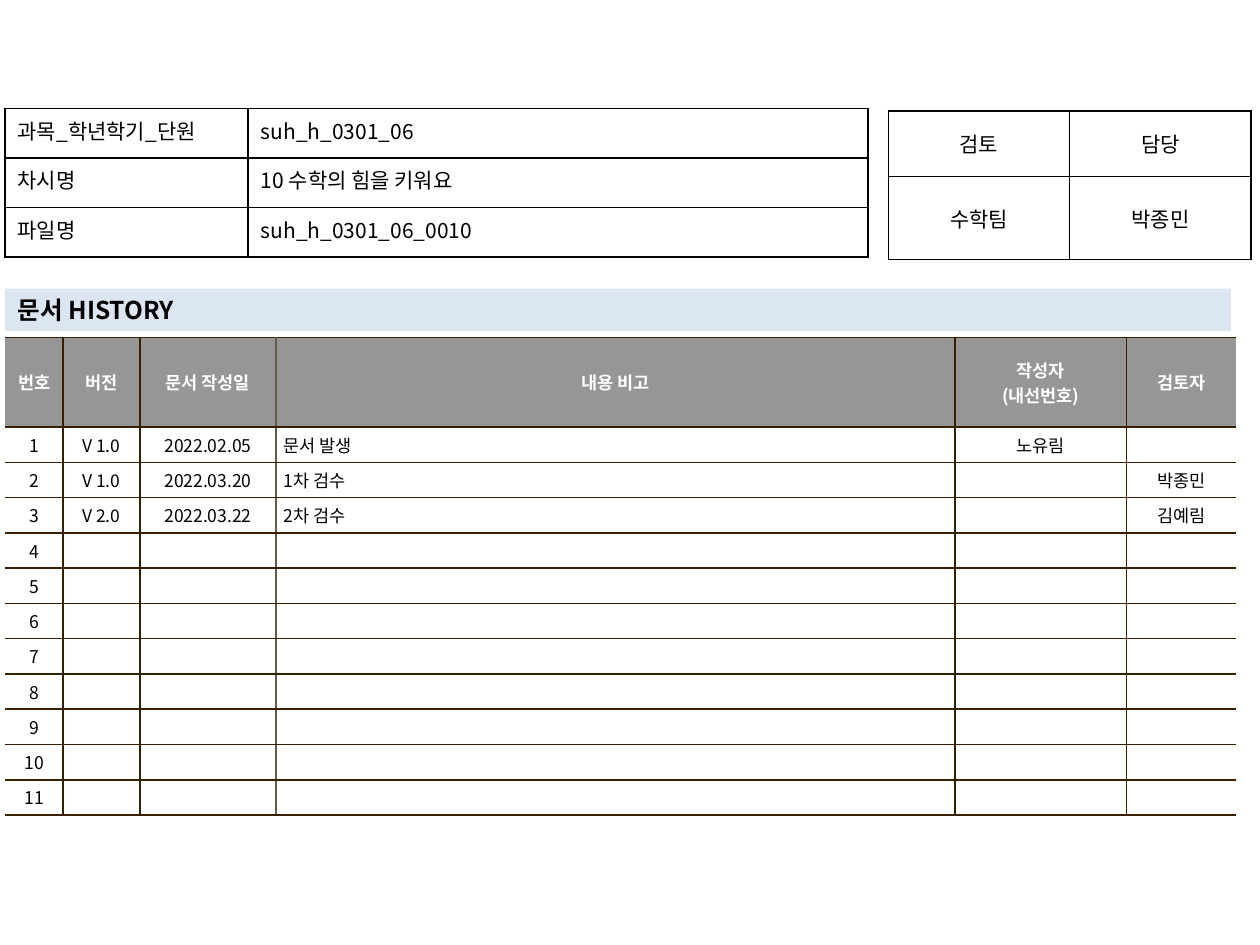
from dataclasses import dataclass
from typing import Any, Optional

from lxml import etree
from pptx import Presentation
from pptx.dml.color import RGBColor
from pptx.enum.text import MSO_ANCHOR, MSO_AUTO_SIZE, PP_ALIGN
from pptx.oxml.ns import qn
from pptx.util import Inches, Pt

TOP, MIDDLE = MSO_ANCHOR.TOP, MSO_ANCHOR.MIDDLE
LEFT, CENTER, JUSTIFY = PP_ALIGN.LEFT, PP_ALIGN.CENTER, PP_ALIGN.JUSTIFY
NO_AUTOFIT = MSO_AUTO_SIZE.NONE

BLACK = RGBColor(0x00, 0x00, 0x00)
WHITE = RGBColor(0xFF, 0xFF, 0xFF)
GRAY = RGBColor(0x96, 0x96, 0x96)
PALE_BLUE = RGBColor(0xDC, 0xE6, 0xF2)
BROWN = RGBColor(0x36, 0x20, 0x00)
TAUPE = RGBColor(0x64, 0x5B, 0x4C)

SLIDE_WIDTH, SLIDE_HEIGHT = Inches(10), Inches(7.5)
TYPEFACE = "Noto Sans CJK KR"
TITLE_ONLY = 5
DATE_COLUMN, NOTE_COLUMN = 2, 3
HISTORY_COLUMNS = 6


@dataclass(frozen=True)
class Area:
    left: float
    top: float
    width: float
    height: float

    def place(self) -> dict[str, int]:
        return {
            "left": int(SLIDE_WIDTH * self.left / 100),
            "top": int(SLIDE_HEIGHT * self.top / 100),
            "width": int(SLIDE_WIDTH * self.width / 100),
            "height": int(SLIDE_HEIGHT * self.height / 100),
        }


@dataclass(frozen=True)
class CellLook:
    size: int
    align: PP_ALIGN
    anchor: MSO_ANCHOR = MIDDLE
    color: RGBColor = BLACK
    bold: bool = False
    fill: Optional[RGBColor] = None
    margins: tuple[float, float] = (0.1, 0.05)


@dataclass(frozen=True)
class Grid:
    area: Area
    columns: list[float]
    rows: list[float]
    texts: list[list[str]]
    looks: list[list[CellLook]]
    line: RGBColor = BLACK
    open_sides: bool = False
    soft_divider: Optional[int] = None


def apply(target: Any, values: dict[str, Any]) -> None:
    for name, value in values.items():
        setattr(target, name, value)


def format_text(frame: Any, look: CellLook) -> None:
    for paragraph in frame.paragraphs:
        paragraph.alignment = look.align
        for run in paragraph.runs:
            apply(run.font, {"size": Pt(look.size), "bold": look.bold, "name": TYPEFACE})
            run.font.color.rgb = look.color
            east_asian = etree.SubElement(run.font._element, qn("a:ea"))
            east_asian.set("typeface", TYPEFACE)
        if not paragraph.runs:
            end = etree.SubElement(paragraph._p, qn("a:endParaRPr"))
            end.set("sz", str(look.size * 100))


def draw_border(cell: Any, side: str, color: Optional[RGBColor]) -> None:
    line = etree.SubElement(cell._tc.get_or_add_tcPr(), qn(f"a:ln{side}"), w=str(Pt(1)))
    if color is None:
        etree.SubElement(line, qn("a:noFill"))
    else:
        solid = etree.SubElement(line, qn("a:solidFill"))
        etree.SubElement(solid, qn("a:srgbClr"), val=str(color))


def border_colors(grid: Grid, column: int) -> dict[str, Optional[RGBColor]]:
    last = len(grid.columns) - 1
    colors: dict[str, Optional[RGBColor]] = dict.fromkeys("LRTB", grid.line)
    for side, edge in (("L", column), ("R", column + 1)):
        if grid.open_sides and edge in (0, last + 1):
            colors[side] = None
        elif edge == grid.soft_divider:
            colors[side] = TAUPE
    return colors


def draw_cell(cell: Any, text: str, look: CellLook, borders: dict[str, Optional[RGBColor]]) -> None:
    across, down = (Inches(margin) for margin in look.margins)
    cell.text = text
    apply(cell, {
        "vertical_anchor": look.anchor,
        "margin_left": across, "margin_right": across,
        "margin_top": down, "margin_bottom": down,
    })
    format_text(cell.text_frame, look)
    for side, color in borders.items():
        draw_border(cell, side, color)
    if look.fill is None:
        cell.fill.background()
    else:
        cell.fill.solid()
        cell.fill.fore_color.rgb = look.fill


def draw_grid(slide: Any, grid: Grid) -> None:
    box = grid.area.place()
    table = slide.shapes.add_table(len(grid.rows), len(grid.columns), **box).table
    apply(table, {"first_row": False, "horz_banding": False})
    for column, weight in zip(table.columns, grid.columns):
        column.width = int(box["width"] * weight / sum(grid.columns))
    for row, weight in zip(table.rows, grid.rows):
        row.height = int(box["height"] * weight / sum(grid.rows))
    for r, (texts, looks) in enumerate(zip(grid.texts, grid.looks)):
        for c, (text, look) in enumerate(zip(texts, looks)):
            draw_cell(table.cell(r, c), text, look, border_colors(grid, c))


def draw_heading(slide: Any, text: str, area: Area) -> None:
    heading = slide.shapes.title
    apply(heading, area.place())
    heading.fill.solid()
    heading.fill.fore_color.rgb = PALE_BLUE
    frame = heading.text_frame
    frame.text = text
    apply(frame, {"auto_size": NO_AUTOFIT, "vertical_anchor": MIDDLE, "word_wrap": True})
    format_text(frame, CellLook(14, LEFT, bold=True))


def history_grid() -> Grid:
    tight = (0.06, 0.04)
    header = CellLook(10, CENTER, color=WHITE, bold=True, fill=GRAY, margins=tight)
    entry = CellLook(10, CENTER, fill=WHITE, margins=tight)
    note = CellLook(10, LEFT, fill=WHITE, margins=tight)
    titles = ["번호", "버전", "문서 작성일", "내용 비고", "작성자\n(내선번호)", "검토자"]
    revisions = [
        ["V 1.0", "2022.02.05", "문서 발생", "노유림", ""],
        ["V 1.0", "2022.03.20", "1차 검수", "", "박종민"],
        ["V 2.0", "2022.03.22", "2차 검수", "", "김예림"],
    ]
    blank = [""] * (HISTORY_COLUMNS - 1)
    revisions += [blank] * (11 - len(revisions))
    entries = [[str(number), *revision] for number, revision in enumerate(revisions, 1)]
    entry_looks = [note if c == NOTE_COLUMN else entry for c in range(HISTORY_COLUMNS)]
    return Grid(
        Area(0.4, 35.73, 97.7, 50.5),
        [0.46, 0.61, 1.08, 5.39, 1.36, 0.87],
        [0.71] + [0.28] * len(entries),
        [titles, *entries],
        [[header] * HISTORY_COLUMNS] + [entry_looks] * len(entries),
        line=BROWN, open_sides=True, soft_divider=DATE_COLUMN + 1,
    )


def main() -> None:
    presentation = Presentation()
    apply(presentation, {"slide_width": SLIDE_WIDTH, "slide_height": SLIDE_HEIGHT})
    slide = presentation.slides.add_slide(presentation.slide_layouts[TITLE_ONLY])
    centered = CellLook(12, CENTER)
    label, value = CellLook(12, JUSTIFY, TOP), CellLook(12, LEFT, TOP)
    review = Grid(
        Area(70.5, 11.73, 28.8, 15.73), [1, 1], [0.52, 0.66],
        [["검토", "담당"], ["수학팀", "박종민"]],
        [[centered] * 2] * 2,
    )
    lesson = Grid(
        Area(0.4, 11.47, 68.5, 15.73), [1.93, 4.92], [1, 1, 1],
        [
            ["과목_학년학기_단원", "suh_h_0301_06"],
            ["차시명", "10 수학의 힘을 키워요"],
            ["파일명", "suh_h_0301_06_0010"],
        ],
        [[label, value]] * 3,
    )
    draw_heading(slide, "문서 HISTORY", Area(0.4, 30.53, 97.3, 4.5))
    for grid in (history_grid(), review, lesson):
        draw_grid(slide, grid)
    presentation.save("out.pptx")


if __name__ == "__main__":
    main()
